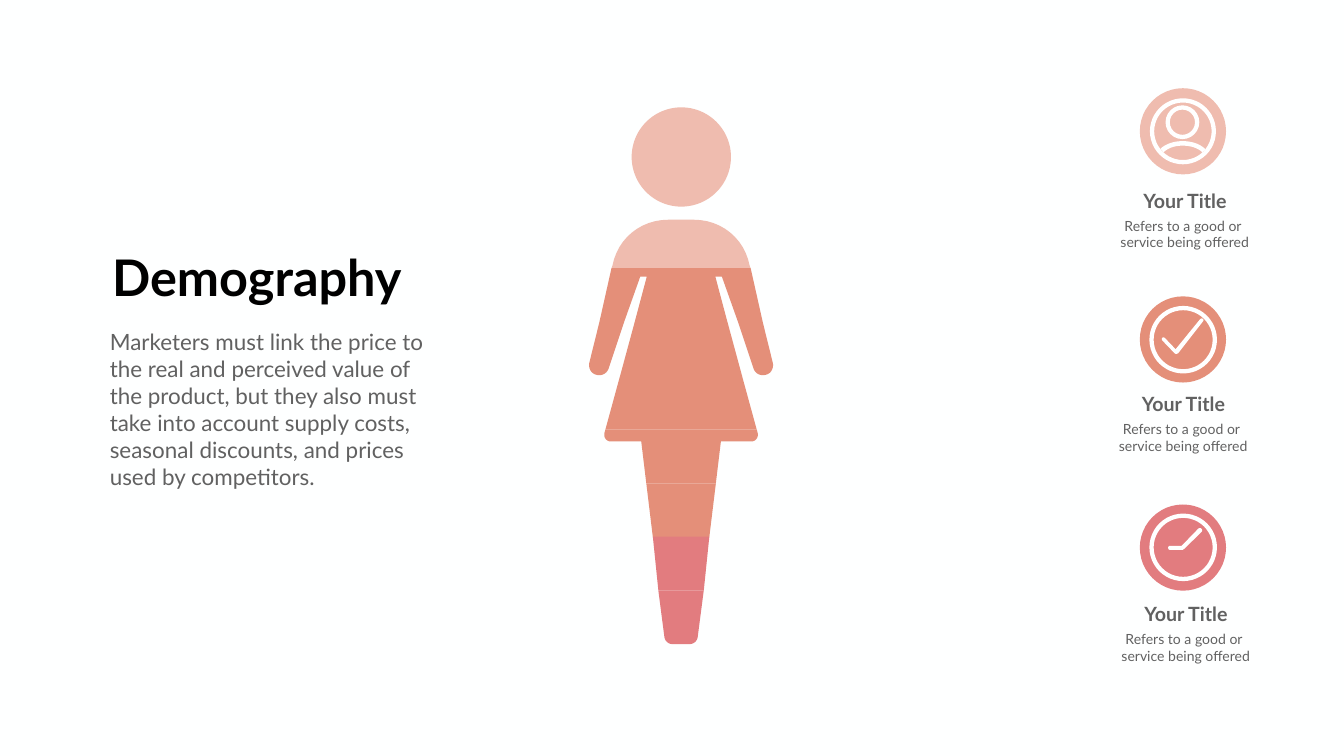
import pptx
import pptx.util
import pptx.dml.color
import pptx.enum.shapes
import pptx.enum.text

Inches = pptx.util.Inches
RGB = pptx.dml.color.RGBColor.from_string
OVAL = pptx.enum.shapes.MSO_SHAPE.OVAL
DONUT = pptx.enum.shapes.MSO_SHAPE.DONUT
CENTER = pptx.enum.text.PP_ALIGN.CENTER
LEFT = pptx.enum.text.PP_ALIGN.LEFT

COLORS = {
    "background": "FEFFFF",
    "blush": "EFBCAF",
    "peach": "E48F79",
    "rose": "E27C7F",
    "white": "FFFFFF",
    "black": "000000",
    "gray": "616161",
}
FORMATS = {
    "heading": {"size": pptx.util.Pt(72), "bold": True},
    "body": {"size": pptx.util.Pt(32), "bold": False},
    "title": {"size": pptx.util.Pt(28), "bold": True},
    "caption": {"size": pptx.util.Pt(20), "bold": False},
}
AXIS = 13.51


def trace(steps):
    points = []
    for step in steps:
        if len(step) == 2:
            points.append(step)
            continue
        ax, ay = points[-1]
        bx, by, cx, cy, dx, dy = step
        for i in range(1, 13):
            t = i / 12
            u = 1 - t
            weights = (u**3, 3 * u * u * t, 3 * u * t * t, t**3)
            x = sum(w * v for w, v in zip(weights, (ax, bx, cx, dx)))
            y = sum(w * v for w, v in zip(weights, (ay, by, cy, dy)))
            points.append((x, y))
    return points


def write(shapes, box, lines, style, color, align, wrap=True):
    frame = shapes.add_textbox(*map(Inches, box)).text_frame
    frame.word_wrap = wrap
    frame.auto_size = pptx.enum.text.MSO_AUTO_SIZE.SHAPE_TO_FIT_TEXT
    for i, line in enumerate(lines):
        paragraph = frame.add_paragraph() if i else frame.paragraphs[0]
        paragraph.alignment = align
        run = paragraph.add_run()
        run.text = line
        run.font.name = "Lato"
        run.font.color.rgb = RGB(COLORS[color])
        for attribute, value in FORMATS[style].items():
            setattr(run.font, attribute, value)


deck = pptx.Presentation()
deck.slide_width = Inches(26.66)
deck.slide_height = Inches(15)
slide = deck.slides.add_slide(deck.slide_layouts[6])
slide.background.fill.solid()
slide.background.fill.fore_color.rgb = RGB(COLORS["background"])

rounds = [
    (OVAL, 22.61, 1.75, 1.71, "blush"),
    (OVAL, 22.61, 5.88, 1.71, "peach"),
    (OVAL, 22.61, 10.01, 1.71, "rose"),
    (DONUT, 22.81, 1.95, 1.31, "white"),
    (DONUT, 23.12, 2.09, 0.67, "white"),
    (DONUT, 22.8, 6.07, 1.34, "white"),
    (DONUT, 22.8, 10.19, 1.34, "white"),
    (OVAL, 12.53, 2.13, 1.97, "blush"),
]
painted = []
for kind, left, top, size, color in rounds:
    disc = slide.shapes.add_shape(kind, *map(Inches, (left, top, size, size)))
    if kind == DONUT:
        disc.adjustments[0] = 0.085 / size
    painted.append((disc, color))

person_shoulders = [
    (23.02, 2.95), (23.13, 2.85, 23.29, 2.8, 23.46, 2.8),
    (23.63, 2.8, 23.8, 2.85, 23.91, 2.96), (23.85, 3.02),
    (23.75, 2.93, 23.61, 2.89, 23.46, 2.89),
    (23.31, 2.89, 23.18, 2.93, 23.08, 3.02),
]
clock_hands = [
    (23.83, 10.56), (23.49, 10.89), (23.46, 10.91), (23.21, 10.91),
    (23.16, 10.91, 23.16, 10.83, 23.21, 10.83), (23.44, 10.83),
    (23.77, 10.49), (23.81, 10.45, 23.88, 10.51, 23.83, 10.56),
]
check_mark = [
    (23.86, 6.38), (23.37, 7.01), (23.35, 7.02, 23.32, 7.03, 23.3, 7.01),
    (23.06, 6.76), (23.02, 6.72, 23.07, 6.67, 23.11, 6.71),
    (23.32, 6.93), (23.8, 6.34), (23.84, 6.29, 23.9, 6.34, 23.86, 6.38),
]
arm = trace([
    (12.38, 6.39), (11.89, 6.39), (11.69, 7.2),
    (11.67, 7.3, 11.72, 7.4, 11.81, 7.43),
    (11.92, 7.47, 12.03, 7.42, 12.07, 7.32),
])
outlines = [(trace(icon), "white") for icon in (person_shoulders, clock_hands, check_mark)]
outlines.append((arm, "peach"))
outlines.append(([(2 * AXIS - x, y) for x, y in arm], "peach"))

left_halves = [
    ([(13.26, 4.36), (12.7, 4.36, 12.25, 4.74, 12.15, 5.27), (12.13, 5.32)], "blush"),
    ([(12.13, 5.32), (11.89, 6.39), (12.38, 6.39), (12.7, 5.49),
      (12.83, 5.49), (12.59, 6.39)], "peach"),
    ([(12.59, 6.39), (12.3, 7.46)], "peach"),
    ([(12.3, 7.46), (12.01, 8.52)], "peach"),
    ([(12.01, 8.52), (11.99, 8.59), (11.97, 8.68, 12.03, 8.76, 12.12, 8.76),
      (12.72, 8.76), (12.82, 9.59)], "peach"),
    ([(12.82, 9.59), (12.95, 10.66)], "peach"),
    ([(12.95, 10.65), (13.06, 11.72)], "rose"),
    ([(13.06, 11.72), (13.18, 12.64), (13.19, 12.72, 13.26, 12.78, 13.34, 12.78)], "rose"),
]
for half, color in left_halves:
    points = trace(half)
    outlines.append((points + [(2 * AXIS - x, y) for x, y in reversed(points)], color))

for points, color in outlines:
    corners = [(Inches(x), Inches(y)) for x, y in points]
    builder = slide.shapes.build_freeform(*corners[0])
    builder.add_line_segments(corners[1:], close=True)
    painted.append((builder.convert_to_shape(), color))

for part, color in painted:
    part.shadow.inherit = False
    part.fill.solid()
    part.fill.fore_color.rgb = RGB(COLORS[color])
    part.line.fill.background()

write(slide.shapes, (2.06, 4.84, 6.07, 1.31), ["Demography"], "heading", "black", CENTER, wrap=False)
write(
    slide.shapes, (2.08, 6.47, 6.67, 3.33),
    ["Marketers must link the price to the real and perceived value of the product, "
     "but they also must take into account supply costs, seasonal discounts, "
     "and prices used by competitors."],
    "body", "gray", LEFT,
)
for left, top in ((22.06, 3.7), (22.03, 7.73), (22.08, 11.9)):
    legend = slide.shapes.add_group_shape().shapes
    write(legend, (left, top + 0.56, 2.88, 0.77),
          ["Refers to a good or ", "service being offered"], "caption", "gray", CENTER)
    write(legend, (left + 0.48, top, 1.93, 0.57), ["Your Title"], "title", "gray", CENTER)

deck.save("out.pptx")
